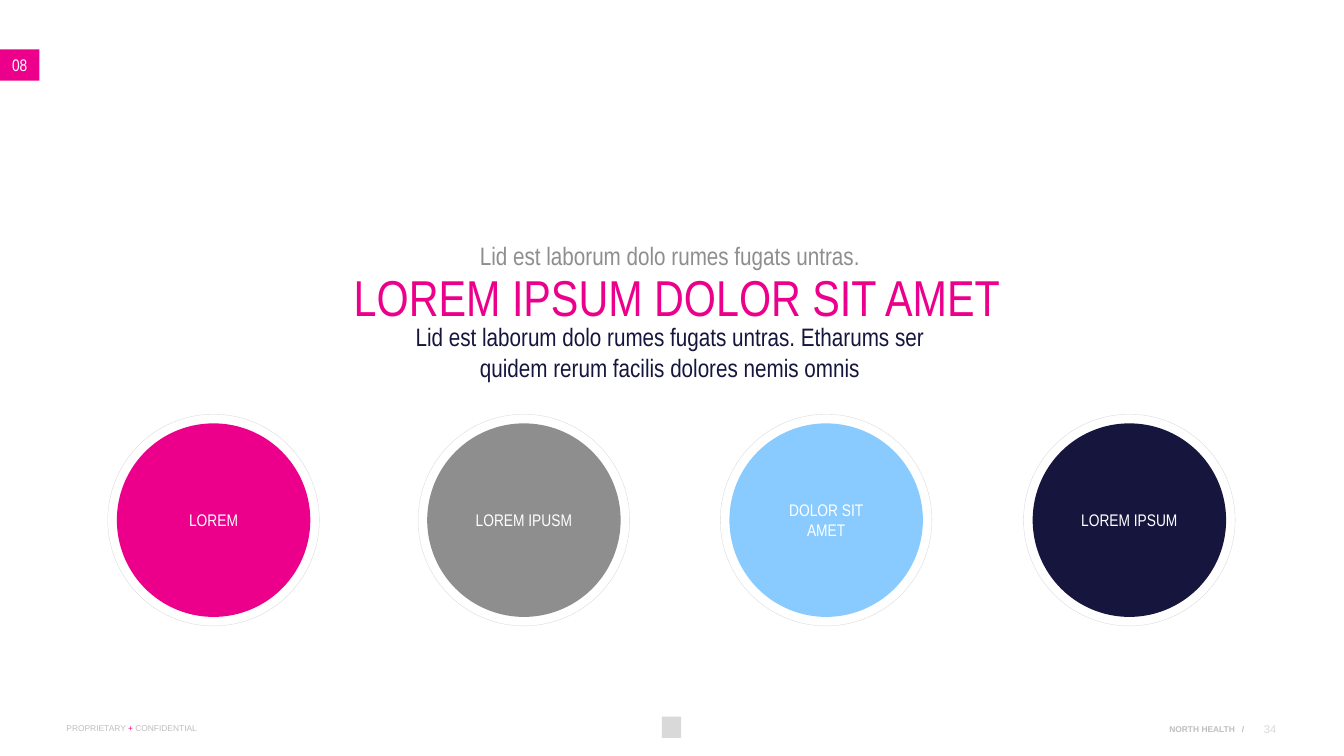
from dataclasses import dataclass

from pptx import Presentation
from pptx.dml.color import RGBColor
from pptx.enum import shapes as kinds, text as txt
from pptx.util import Inches, Pt


@dataclass(frozen=True)
class Theme:
    pink: str = "EC008B"
    gray: str = "8E8E8E"
    sky: str = "89CBFF"
    navy: str = "16153E"
    white: str = "FFFFFF"
    pale: str = "D9D9D9"
    soft: str = "BFBFBF"
    head: str = "Arial Narrow"
    foot: str = "Arial"
    title: float = 36
    lead: float = 18
    label: float = 12
    page: float = 8
    note: float = 6
    hair: float = 0.25


T = Theme()
OVAL = kinds.MSO_SHAPE.OVAL
RECT = kinds.MSO_SHAPE.RECTANGLE
LEFT, MID, RIGHT = txt.PP_ALIGN.LEFT, txt.PP_ALIGN.CENTER, txt.PP_ALIGN.RIGHT


def write(shape, lines, size, color, align=MID, face=T.head, bold=False,
          pads=(0, 0, 0, 0), anchor=txt.MSO_ANCHOR.TOP):
    frame = shape.text_frame
    frame.word_wrap = True
    frame.vertical_anchor = anchor
    (frame.margin_left, frame.margin_top,
     frame.margin_right, frame.margin_bottom) = map(Inches, pads)
    frame.text = "\n".join(lines)
    for para in frame.paragraphs:
        para.alignment = align
        para.font.size = Pt(size)
        para.font.name = face
        para.font.bold = bold
        para.font.color.rgb = RGBColor.from_string(color)
    return frame


def label(slide, box, lines, *style, **more):
    return write(slide.shapes.add_textbox(*map(Inches, box)), lines, *style, **more)


def draw(slide, kind, box, fill=None, line=None):
    shape = slide.shapes.add_shape(kind, *map(Inches, box))
    shape.shadow.inherit = False
    if fill:
        shape.fill.solid()
        shape.fill.fore_color.rgb = RGBColor.from_string(fill)
    else:
        shape.fill.background()
    if line:
        shape.line.color.rgb = RGBColor.from_string(line)
        shape.line.width = Pt(T.hair)
    else:
        shape.line.fill.background()
    return shape


def add_tag(slide, box):
    write(draw(slide, RECT, box, T.pink), ["08"], T.label, T.white, LEFT,
          pads=(0.12, 0.05, 0, 0.05), anchor=txt.MSO_ANCHOR.MIDDLE)


def add_intro(slide, box):
    x, y, w, h = box
    label(slide, (x, y, w, 0.3), ["Lid est laborum dolo rumes fugats untras."],
          T.lead, T.gray)
    label(slide, (x + 0.07, y + 0.26, w, 0.61), ["LOREM IPSUM DOLOR SIT AMET"],
          T.title, T.pink)
    label(slide, (x, y + 0.81, w, h - 0.81),
          ["Lid est laborum dolo rumes fugats untras. Etharums ser",
           "quidem rerum facilis dolores nemis omnis"], T.lead, T.navy)


def add_disc(slide, box, name, color):
    x, y, w, h = box
    gap = 0.09
    disc = draw(slide, OVAL, (x + gap, y + gap, w - 2 * gap, h - 2 * gap), color)
    write(disc, [name], T.label, T.white, pads=(0.13, 0.07, 0.13, 0.07),
          anchor=txt.MSO_ANCHOR.MIDDLE)
    draw(slide, OVAL, box, line=T.pale)


def add_row(slide, box):
    x, y, w, h = box
    discs = [(0, "LOREM", T.pink), (3.08, "LOREM IPUSM", T.gray),
             (6.08, "DOLOR SIT AMET", T.sky), (w - h, "LOREM IPSUM", T.navy)]
    for shift, name, color in discs:
        add_disc(slide, (x + shift, y, h, h), name, color)


def add_foot(slide, box):
    x, y, w, h = box
    frame = label(slide, (x, y + 0.06, 1.6, 0.1), [""], T.note, T.soft, LEFT, T.foot)
    para = frame.paragraphs[0]
    for part in ("PROPRIETARY ", "+", " CONFIDENTIAL"):
        run = para.add_run()
        run.text = part
        if part == "+":
            run.font.color.rgb = RGBColor.from_string(T.pink)
    draw(slide, RECT, (x + 5.91, y, 0.19, h), T.pale)
    label(slide, (x + w - 1.82, y + 0.07, 1.5, 0.1), ["NORTH HEALTH   /"],
          T.note, T.soft, RIGHT, T.foot, True)
    label(slide, (x + w - 0.3, y + 0.06, 0.3, 0.13), ["34"],
          T.page, T.pale, RIGHT, T.foot)


def main():
    deck = Presentation()
    deck.slide_width, deck.slide_height = Inches(13.34), Inches(7.5)
    slide = deck.slides.add_slide(deck.slide_layouts[6])
    add_foot(slide, (0.66, 7.11, 12.01, 0.21))
    add_tag(slide, (0, 0.49, 0.39, 0.31))
    add_intro(slide, (1.65, 2.38, 10, 1.42))
    add_row(slide, (1.07, 4.11, 11.19, 2.1))
    deck.save("out.pptx")


if __name__ == "__main__":
    main()
